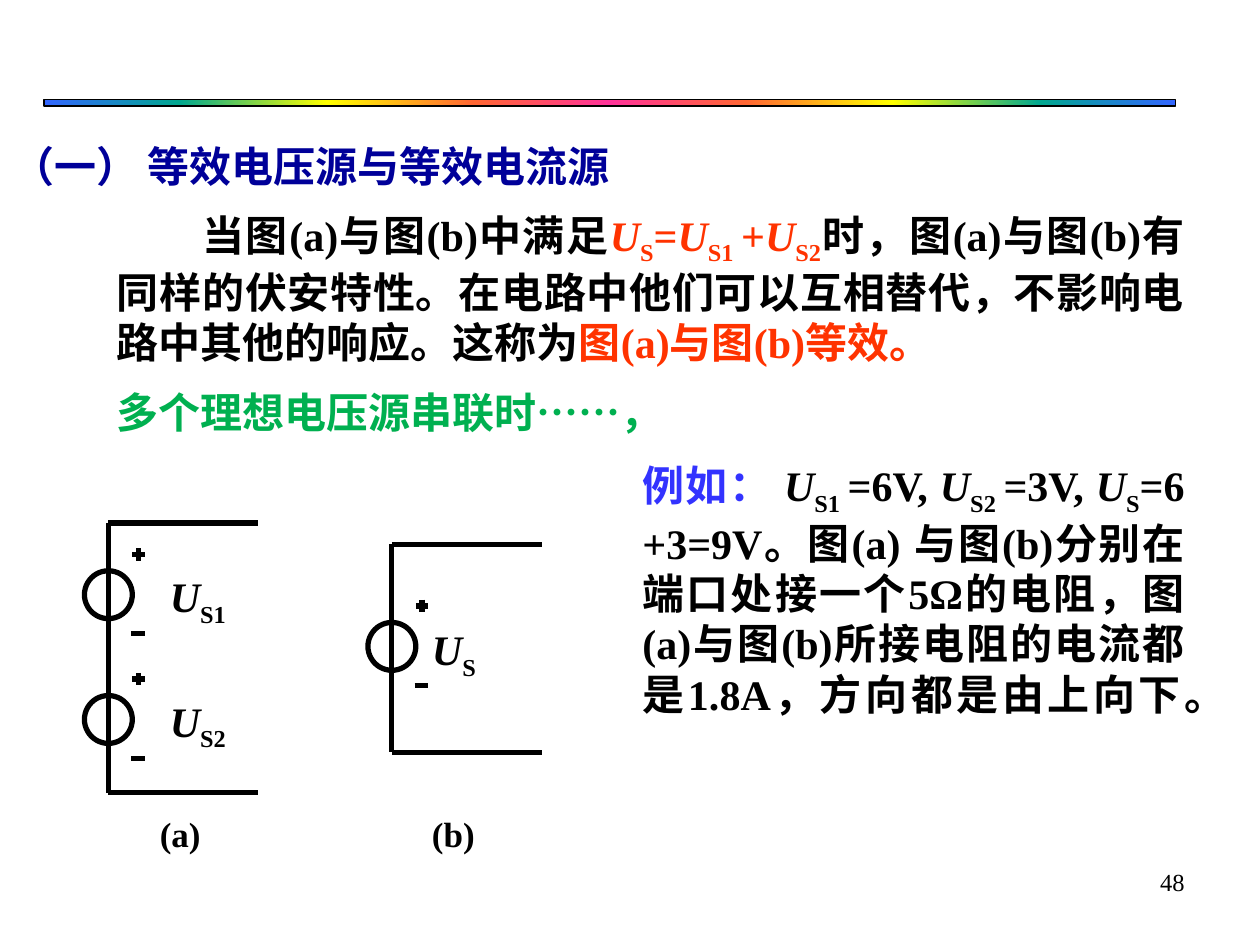
from dataclasses import dataclass

from lxml import etree
from pptx import Presentation
from pptx.dml.color import RGBColor
from pptx.enum.lang import MSO_LANGUAGE_ID as LANG
from pptx.enum.shapes import MSO_CONNECTOR as CONN, MSO_SHAPE as SHAPE
from pptx.enum.text import PP_ALIGN as ALIGN
from pptx.oxml.ns import qn
from pptx.util import Inches, Pt


@dataclass(frozen=True)
class Theme:
    font: str = "Times New Roman"
    black: str = "000000"
    white: str = "FFFFFF"
    heading: str = "000099"
    red: str = "FF3300"
    blue: str = "3333FF"
    green: str = "00B050"
    rainbow: tuple = ("3366FF", "01A78F", "FFFF00", "FF6633", "FF3399",
                      "FF6633", "FFFF00", "01A78F", "3366FF")
    stops: tuple = (0, 12, 25, 38, 50, 62, 75, 88, 100)
    body: int = 24
    caption: int = 20
    number: int = 14
    wire: int = 3


T = Theme()
RAIL = 1.19  # length of the open horizontal wires


def rgb(value):
    return RGBColor.from_string(value)


# Text: a run is (text, colour, style), style being "", "i" or "sub"
def symbol(sub, color=T.black):
    return [("U", color, "i"), (sub, color, "sub")]


def add_text(slide, box, runs, size=T.body, bold=True, align=ALIGN.LEFT,
             color=T.black, indent=0):
    tf = slide.shapes.add_textbox(*map(Inches, box)).text_frame
    tf.word_wrap = True
    p = tf.paragraphs[0]
    p.alignment = align
    if indent:
        p._p.get_or_add_pPr().set("indent", str(Inches(indent)))
    if isinstance(runs, str):
        runs = [(runs, color, "")]
    for text, run_color, style in runs:
        r = p.add_run()
        r.text = text
        font = r.font
        font.name, font.size, font.bold = T.font, Pt(size), bold
        font.italic = style == "i"
        font.color.rgb = rgb(run_color)
        font.language_id = LANG.SIMPLIFIED_CHINESE
        if style == "sub":
            r._r.get_or_add_rPr().set("baseline", "-25000")


# Circuit parts
def add_wire(group, x1, y1, x2, y2):
    line = group.shapes.add_connector(CONN.STRAIGHT, *map(Inches, (x1, y1, x2, y2)))
    line.line.color.rgb = rgb(T.black)
    line.line.width = Pt(T.wire)
    etree.SubElement(line._element.spPr, qn("a:effectLst"))


def add_source(group, x, y):
    """Voltage source on a vertical lead starting at (x, y)."""
    sp = group.shapes.add_shape(
        SHAPE.OVAL, *map(Inches, (x - 0.19, y + 0.38, 0.38, 0.38)))
    sp.shadow.inherit = False
    sp.fill.solid()
    sp.fill.fore_color.rgb = rgb(T.white)
    sp.line.color.rgb = rgb(T.black)
    sp.line.width = Pt(T.wire)
    add_wire(group, x, y, x, y + 1.15)
    # Plus and minus signs
    add_wire(group, x + 0.19, y + 0.25, x + 0.29, y + 0.25)
    add_wire(group, x + 0.24, y + 0.2, x + 0.24, y + 0.3)
    add_wire(group, x + 0.18, y + 0.88, x + 0.29, y + 0.88)


def add_circuit(slide, x, top, bottom, sources):
    group = slide.shapes.add_group_shape()
    for y in sources:
        add_source(group, x, y)
    for y in (top, bottom):
        add_wire(group, x, y, x + RAIL, y)
    add_wire(group, x, top, x, bottom)


def add_rainbow_bar(slide, box):
    sp = slide.shapes.add_shape(SHAPE.RECTANGLE, *map(Inches, box))
    sp.shadow.inherit = False
    sp.line.color.rgb = rgb(T.black)
    sp.line.width = Pt(1)
    sp.fill.gradient()
    sp.fill.gradient_angle = 0
    stops = sp._element.spPr.find(qn("a:gradFill")).find(qn("a:gsLst"))
    for old in list(stops):
        stops.remove(old)
    for pos, color in zip(T.stops, T.rainbow):
        stop = etree.SubElement(stops, qn("a:gs"), pos=str(pos * 1000))
        etree.SubElement(stop, qn("a:srgbClr"), val=color)


def main():
    prs = Presentation()
    prs.slide_width, prs.slide_height = Inches(10), Inches(7.5)
    slide = prs.slides.add_slide(prs.slide_layouts[6])

    # Page number
    add_text(slide, (7.17, 6.83, 2.33, 0.52), "48", size=T.number,
             bold=False, align=ALIGN.RIGHT)

    # Circuits (a) and (b)
    add_circuit(slide, 0.86, 4.15, 6.29, sources=(5.14, 4.15))
    add_circuit(slide, 3.11, 4.32, 5.97, sources=(4.56,))
    for sub, box in (("S1", (1.25, 4.48, 1, 0.5)),
                     ("S", (3.33, 4.9, 0.58, 0.5)),
                     ("S2", (1.25, 5.47, 1, 0.5))):
        add_text(slide, box, symbol(sub))
    for caption, x in (("(a)", 1.17), ("(b)", 3.33)):
        add_text(slide, (x, 6.4, 0.67, 0.43), caption, size=T.caption)

    # Equivalence statement
    add_text(slide, (0.83, 1.61, 8.67, 1.31), [
        ("当图(a)与图(b)中满足", T.black, ""),
        *symbol("S", T.red), ("=", T.red, ""),
        *symbol("S1 ", T.red), ("+", T.red, ""),
        *symbol("S2", T.red),
        ("时，图(a)与图(b)有同样的伏安特性。在电路中他们可以互相替代，"
         "不影响电路中其他的响应。这称为", T.black, ""),
        ("图(a)与图(b)等效。", T.red, ""),
    ], align=ALIGN.JUSTIFY, indent=0.68)

    # Worked example
    add_text(slide, (5, 3.6, 4.5, 2.12), [
        ("例如： ", T.blue, ""),
        *symbol("S1 "), ("=6V, ", T.black, ""),
        *symbol("S2 "), ("=3V, ", T.black, ""),
        *symbol("S"),
        ("=6 +3=9V。图(a) 与图(b)分别在端口处接一个5Ω的电阻，"
         "图(a)与图(b)所接电阻的电流都是1.8A，方向都是由上向下。", T.black, ""),
    ], align=ALIGN.JUSTIFY)

    # Heading and series remark
    add_text(slide, (0, 1.07, 7.25, 0.5), "（一） 等效电压源与等效电流源",
             color=T.heading)
    add_text(slide, (0.83, 3.02, 8.67, 0.5), "多个理想电压源串联时……，",
             color=T.green, align=ALIGN.JUSTIFY)

    # Divider under the title area
    add_rainbow_bar(slide, (0.35, 0.79, 8.98, 0.05))

    prs.save("out.pptx")


if __name__ == "__main__":
    main()
